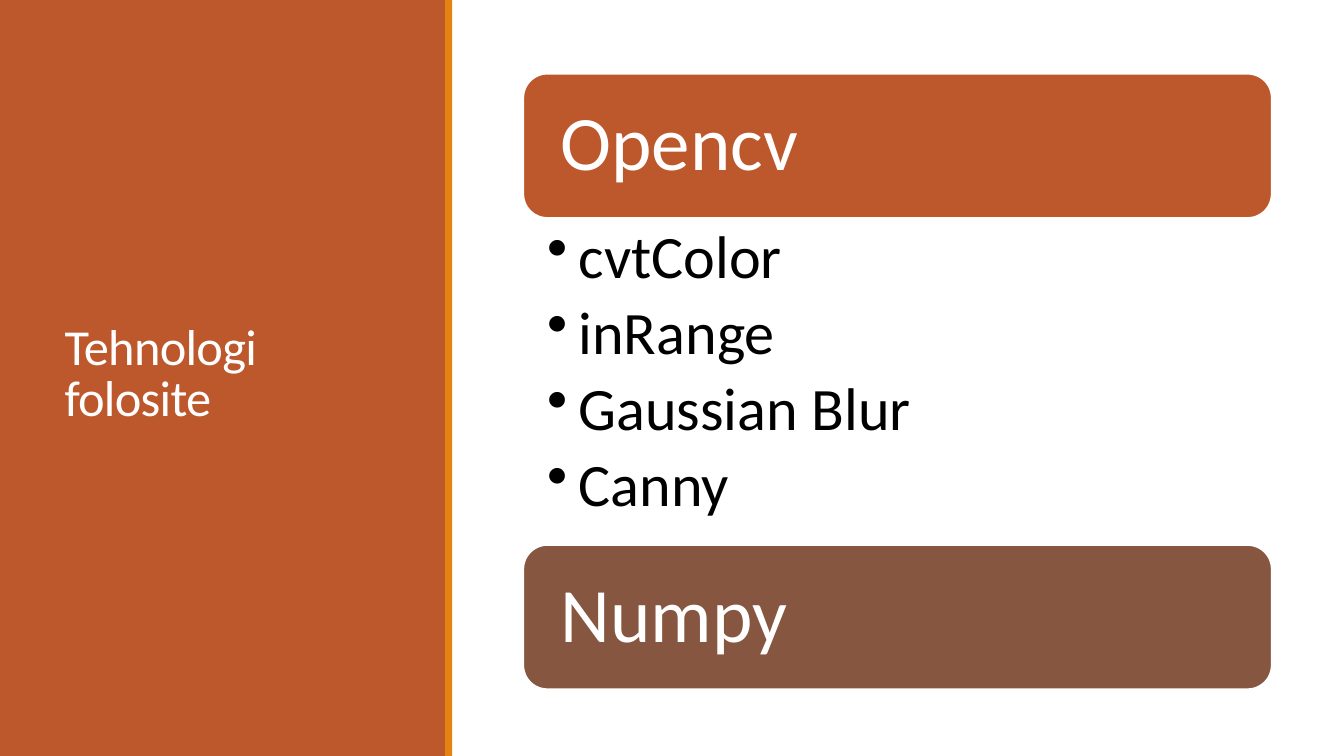
from pptx import Presentation
from pptx.dml.color import RGBColor
from pptx.enum import shapes, text
from pptx.oxml.ns import qn
from pptx.util import Pt
from lxml import etree

HUES = {"rust": "BD582C", "amber": "E48312", "brown": "865640",
        "white": "FFFFFF", "black": "000000"}
FACE = "Calibri"


class Deck:
    """Holds the style and the current slide."""

    def __init__(self, wide, high):
        self.prs = Presentation()
        self.prs.slide_width, self.prs.slide_height = Pt(wide), Pt(high)
        self.slide = self.prs.slides.add_slide(self.prs.slide_layouts[5])

    def hue(self, name):
        return RGBColor.from_string(HUES[name])

    def panel(self, box, fill, kind=shapes.MSO_SHAPE.RECTANGLE, line=None):
        item = self.slide.shapes.add_shape(kind, *map(Pt, box))
        item.shadow.inherit = False
        item.fill.solid()
        item.fill.fore_color.rgb = self.hue(fill)
        if line:
            item.line.color.rgb = self.hue(line)
            item.line.width = Pt(1.25)
        else:
            item.line.fill.background()
        return item

    def label(self, item, lines, size, color, space, pads, anchor, after=0):
        frame = item.text_frame
        frame.word_wrap = True
        frame.auto_size = text.MSO_AUTO_SIZE.NONE
        frame.vertical_anchor = anchor
        (frame.margin_left, frame.margin_top,
         frame.margin_right, frame.margin_bottom) = map(Pt, pads)
        frame.text = "\n".join(lines)
        for para in frame.paragraphs:
            para.alignment = text.PP_ALIGN.LEFT
            para.line_spacing = space
            para.space_before, para.space_after = Pt(0), Pt(after)
            para.font.name, para.font.size = FACE, Pt(size)
            para.font.color.rgb = self.hue(color)
        return frame.paragraphs

    def title(self, box, words):
        item = self.slide.shapes.title
        item.left, item.top, item.width, item.height = map(Pt, box)
        paras = self.label(item, [words], 36, "white", 0.85,
                           (7.2, 3.6, 7.2, 3.6), text.MSO_ANCHOR.MIDDLE)
        paras[0].runs[0].font._element.set("spc", "-50")
        # Bring the title in front of the side panel
        item.element.getparent().append(item.element)

    def card(self, box, words, fill):
        item = self.panel(box, fill, shapes.MSO_SHAPE.ROUNDED_RECTANGLE, "white")
        self.label(item, [words], 55, "white", 0.9, (21.6,) * 4,
                   text.MSO_ANCHOR.MIDDLE)

    def bullets(self, box, lines):
        item = self.slide.shapes.add_textbox(*map(Pt, box))
        paras = self.label(item, lines, 43, "black", 0.9, (17, 6, 31, 6),
                           text.MSO_ANCHOR.TOP, after=7.8)
        for para in paras:
            props = para._p.get_or_add_pPr()
            props.set("marL", str(int(Pt(22.5))))
            props.set("indent", str(-int(Pt(22.5))))
            mark = etree.Element(qn("a:buChar"), char="•")
            props.find(qn("a:spcAft")).addnext(mark)


def main():
    deck = Deck(960, 540)

    # Side panel with title
    deck.panel((0, 0, 319, 540), "rust")
    deck.title((38.9, 41, 242.6, 454.3), "Tehnologi folosite")
    deck.panel((318, 0, 5, 540), "amber")

    # Libraries and their functions
    left, top, wide, card, gap = 373.8, 52.7, 534.6, 103, 233.6
    deck.card((left, top, wide, card), "Opencv", "rust")
    deck.bullets((left, top + card, wide, gap),
                 ["cvtColor", "inRange", "Gaussian Blur", "Canny"])
    deck.card((left, top + card + gap, wide, card), "Numpy", "brown")

    deck.prs.save("out.pptx")


if __name__ == "__main__":
    main()
